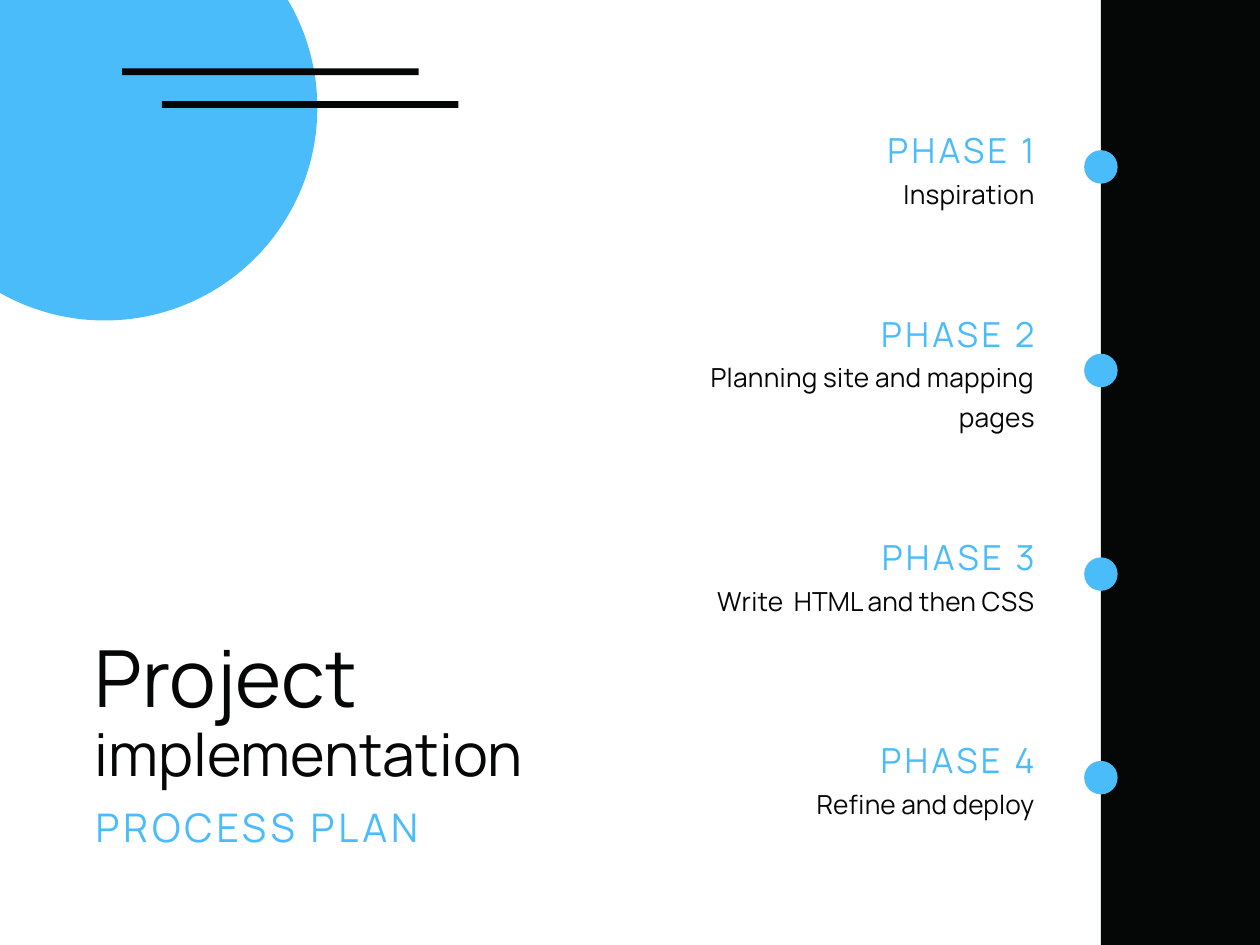
from pptx import Presentation
from pptx.dml.color import RGBColor
from pptx.enum.shapes import MSO_SHAPE
from pptx.enum.text import MSO_ANCHOR, MSO_AUTO_SIZE, PP_ALIGN
from pptx.util import Inches, Pt

RECT, OVAL = MSO_SHAPE.RECTANGLE, MSO_SHAPE.OVAL
LEFT, RIGHT = PP_ALIGN.LEFT, PP_ALIGN.RIGHT
TOP, NO_FIT = MSO_ANCHOR.TOP, MSO_AUTO_SIZE.NONE
TITLE_ONLY = 5

COLS, ROWS = 32, 24
CELL = 1 / 3  # inches per column and per row
INK, SKY = "050707", "4BBCFA"
FONT = "Manrope"

PHASES = [
    # heading, description, lines of description, letter spacing
    ("PHASE 1", "Inspiration", 1, 0.2),
    ("PHASE 2", "Planning site and mapping pages", 2, 0.2),
    ("PHASE 3", "Write  HTML and then CSS", 1, 0.1),
    ("PHASE 4", "Refine and deploy", 1, 0.1),
]
PANEL_LEFT = 27.96
FIRST_DOT, DOT_STEP, DOT_SIZE = 4.24, 5.17, 0.85
PHASE_LEFT, PHASE_WIDTH = 17.46, 8.82
HEADING_HEIGHT, BODY_OFFSET, BODY_LINE = 1.08, 1.13, 1


def rgb(color):
    return RGBColor.from_string(color)


def grid(n):
    return Inches(n * CELL)


class Deck:
    """Holds the slide and draws on a grid of COLS by ROWS."""

    def __init__(self):
        self.prs = Presentation()
        self.prs.slide_width, self.prs.slide_height = grid(COLS), grid(ROWS)
        self.s = self.prs.slides.add_slide(self.prs.slide_layouts[TITLE_ONLY])

    def shape(self, kind, x, y, w, h, color):
        sp = self.s.shapes.add_shape(kind, *map(grid, (x, y, w, h)))
        sp.shadow.inherit = False
        sp.fill.solid()
        sp.fill.fore_color.rgb = rgb(color)
        sp.line.fill.background()

    def fill_text(self, sp, lines, align):
        """Fill a text shape; each line is text, size, leading, colour, spacing."""
        tf = sp.text_frame
        tf.word_wrap, tf.auto_size, tf.vertical_anchor = True, NO_FIT, TOP
        tf.margin_left = tf.margin_top = tf.margin_right = tf.margin_bottom = 0
        for i, (text, size, leading, color, spacing) in enumerate(lines):
            p = tf.add_paragraph() if i else tf.paragraphs[0]
            p.alignment, p.line_spacing = align, Pt(leading)
            p.space_before = p.space_after = Pt(0)
            r = p.add_run()
            r.text = text
            r.font.name, r.font.size = FONT, Pt(size)
            r.font.color.rgb = rgb(color)
            r._r.get_or_add_rPr().set("spc", str(round(spacing * 100)))

    def text(self, x, y, w, h, lines, align=LEFT):
        sp = self.s.shapes.add_textbox(*map(grid, (x, y, w, h)))
        self.fill_text(sp, lines, align)

    def title(self, x, y, w, h, lines):
        sp = self.s.shapes.title
        sp.left, sp.top, sp.width, sp.height = map(grid, (x, y, w, h))
        self.fill_text(sp, lines, LEFT)

    def phase(self, center, heading, body, line_count, spacing):
        """Centre a heading and its description beside a timeline dot."""
        body_height = line_count * BODY_LINE - 0.08
        top = center - (BODY_OFFSET + body_height) / 2 - 0.03
        self.shape(OVAL, PANEL_LEFT - DOT_SIZE / 2, center - DOT_SIZE / 2,
                   DOT_SIZE, DOT_SIZE, SKY)
        self.text(PHASE_LEFT, top, PHASE_WIDTH, HEADING_HEIGHT,
                  [(heading, 21, 27.3, SKY, 2.1)], RIGHT)
        self.text(PHASE_LEFT, top + BODY_OFFSET, PHASE_WIDTH, body_height,
                  [(body, 16, 24, INK, spacing)], RIGHT)


def main():
    deck = Deck()
    deck.shape(RECT, PANEL_LEFT, 0, 4.38, 24.12, INK)
    for i, phase in enumerate(PHASES):
        deck.phase(FIRST_DOT + i * DOT_STEP, *phase)

    deck.title(2.4, 16.17, 13.32, 3.93, [
        ("Project", 48, 52.8, INK, 0),
        ("implementation", 36, 39.6, INK, 0),
    ])
    deck.text(2.43, 20.4, 13.32, 1.2, [("PROCESS PLAN", 24, 28.8, SKY, 2.4)])

    deck.shape(OVAL, -2.74, -2.66, 10.8, 10.8, SKY)
    for x, y in ((3.1, 1.74), (4.11, 2.57)):
        deck.shape(RECT, x, y, 7.53, 0.17, INK)
    deck.prs.save("out.pptx")


if __name__ == "__main__":
    main()
